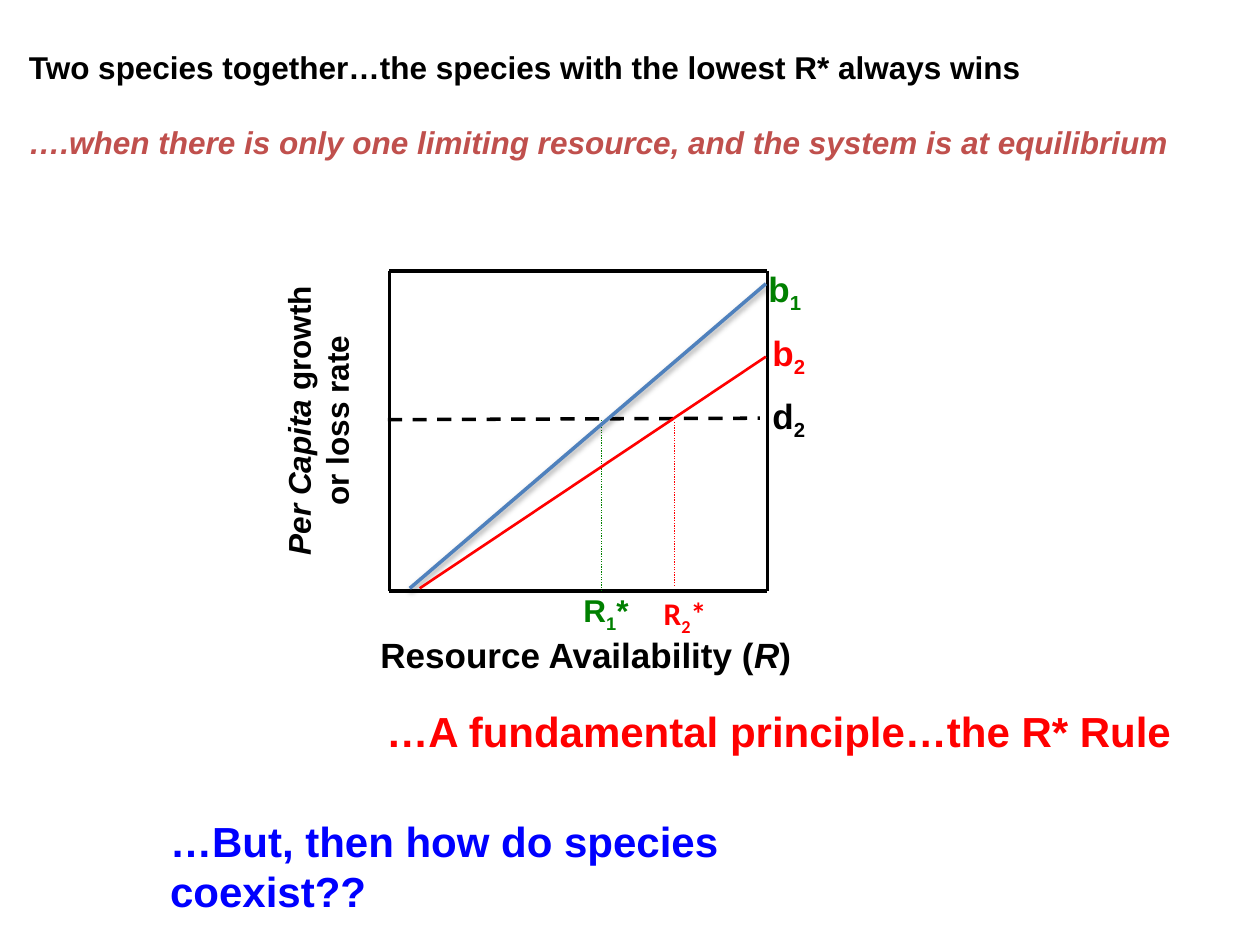
from lxml.etree import SubElement
from pptx import Presentation
from pptx.dml.color import RGBColor
from pptx.enum.dml import MSO_LINE_DASH_STYLE as DASH
from pptx.enum.shapes import MSO_CONNECTOR as CONN
from pptx.enum.text import MSO_ANCHOR, MSO_AUTO_SIZE, PP_ALIGN
from pptx.oxml.ns import qn
from pptx.util import Cm, Pt

BLACK, RED, GREEN, BLUE = "000000", "FF0000", "008000", "0000FF"


def color(value):
    return RGBColor.from_string(value)


def add_run(p, text, size, fill, name="Arial", italic=False, sub=False):
    r = p.add_run()
    r.text = text
    font = {"size": Pt(size), "bold": True, "italic": italic, "name": name}
    for key, value in font.items():
        setattr(r.font, key, value)
    r.font.color.rgb = color(fill)
    if sub:
        r.font._element.set("baseline", "-25000")


prs = Presentation()
prs.slide_width, prs.slide_height = Cm(25.4), Cm(19.05)
s = prs.slides.add_slide(prs.slide_layouts[5])

# Title with its qualification
title = s.shapes.title
place = {"left": Cm(0.33), "top": Cm(0.84), "width": Cm(23.9), "height": Cm(2.54)}
for key, value in place.items():
    setattr(title, key, value)
tf = title.text_frame
frame_format = {"word_wrap": True, "auto_size": MSO_AUTO_SIZE.NONE,
                "vertical_anchor": MSO_ANCHOR.TOP}
for key, value in frame_format.items():
    setattr(tf, key, value)
p = tf.paragraphs[0]
p.alignment = PP_ALIGN.LEFT
add_run(p, "Two species together…the species with the lowest R* always wins", 18, BLACK)
p = tf.add_paragraph()
p.alignment = PP_ALIGN.LEFT
p.space_before = Pt(21)
add_run(p, "….when there is only one limiting resource, and the system is at equilibrium",
        18, "C0504D", italic=True)

# Plot frame, loss rate, R* drop lines and growth lines
left, right, top, bottom = 7.85, 15.47, 5.46, 11.91
lines = [
    # x1, y1, x2, y2, colour, width, dash, shadow
    (left, top, left, bottom, BLACK, 2, None, False),
    (left, bottom, right, bottom, BLACK, 2, None, False),
    (right, top, right, bottom, BLACK, 2, None, False),
    (left, top, right, top, BLACK, 2, None, False),
    (7.82, 8.46, 15.32, 8.43, BLACK, 2, DASH.DASH, False),
    (13.59, 11.81, 13.59, 8.51, RED, 0.75, DASH.ROUND_DOT, False),
    (12.12, bottom, 12.12, 8.46, GREEN, 0.75, DASH.ROUND_DOT, False),
    (8.26, 11.86, 15.44, 5.72, "4F81BD", 2, None, True),
    (8.46, 11.86, 15.44, 7.19, RED, 1.5, None, False),
]
for x1, y1, x2, y2, fill, width, dash, shadow in lines:
    sp = s.shapes.add_connector(CONN.STRAIGHT, Cm(x1), Cm(y1), Cm(x2), Cm(y2))
    sp.line.color.rgb = color(fill)
    sp.line.width = Pt(width)
    if dash:
        sp.line.dash_style = dash
    effects = SubElement(sp._element.spPr, qn("a:effectLst"))
    if shadow:
        outer = SubElement(effects, qn("a:outerShdw"), blurRad="40000", dist="20000",
                           dir="5400000", rotWithShape="0")
        black = SubElement(outer, qn("a:srgbClr"), val=BLACK)
        SubElement(black, qn("a:alpha"), val="38000")

# Symbols with subscripts
symbols = [
    # x, y, width, letter, subscript, ending, size, colour, font
    (15.24, 5.26, 1.5, "b", "1", "", 20, GREEN, "Arial"),
    (15.32, 6.55, 1.5, "b", "2", "", 20, RED, "Arial"),
    (15.32, 7.82, 1.5, "d", "2", "", 20, BLACK, "Arial"),
    (11.51, 11.79, 1.8, "R", "1", "*", 18, GREEN, "Arial"),
    (13.13, 11.86, 1.8, "R", "2", "*", 18, RED, "Calibri"),
]
for x, y, w, letter, index, ending, size, fill, name in symbols:
    tf = s.shapes.add_textbox(Cm(x), Cm(y), Cm(w), Cm(1.09)).text_frame
    tf.word_wrap = True
    p = tf.paragraphs[0]
    add_run(p, letter, size, fill, name)
    add_run(p, index, size, fill, name, sub=True)
    if ending:
        add_run(p, ending, size, fill, name)

# Axis titles and closing statements: each paragraph is a list of (text, italic)
texts = [
    # x, y, width, height, rotation, size, colour, paragraphs
    (3.43, 7.59, 5.94, 1.78, 270, 18, BLACK,
     [[("Per Capita", True), (" growth", False)], [("or loss rate", False)]]),
    (7.42, 12.65, 9.1, 1.09, 0, 20, BLACK,
     [[("Resource Availability (", False), ("R", True), (")", False)]]),
    (7.54, 14.1, 16.8, 1.27, 0, 24, RED,
     [[("…A fundamental principle…the R* Rule", False)]]),
    (3.18, 16.31, 14.8, 2.3, 0, 24, BLUE,
     [[("…But, then how do species coexist??", False)]]),
]
for x, y, w, h, rotation, size, fill, paragraphs in texts:
    sp = s.shapes.add_textbox(Cm(x), Cm(y), Cm(w), Cm(h))
    sp.rotation = rotation
    tf = sp.text_frame
    tf.word_wrap = True
    for i, runs in enumerate(paragraphs):
        p = tf.add_paragraph() if i else tf.paragraphs[0]
        p.alignment = PP_ALIGN.CENTER if rotation else PP_ALIGN.LEFT
        for text, italic in runs:
            add_run(p, text, size, fill, italic=italic)

prs.save("out.pptx")
